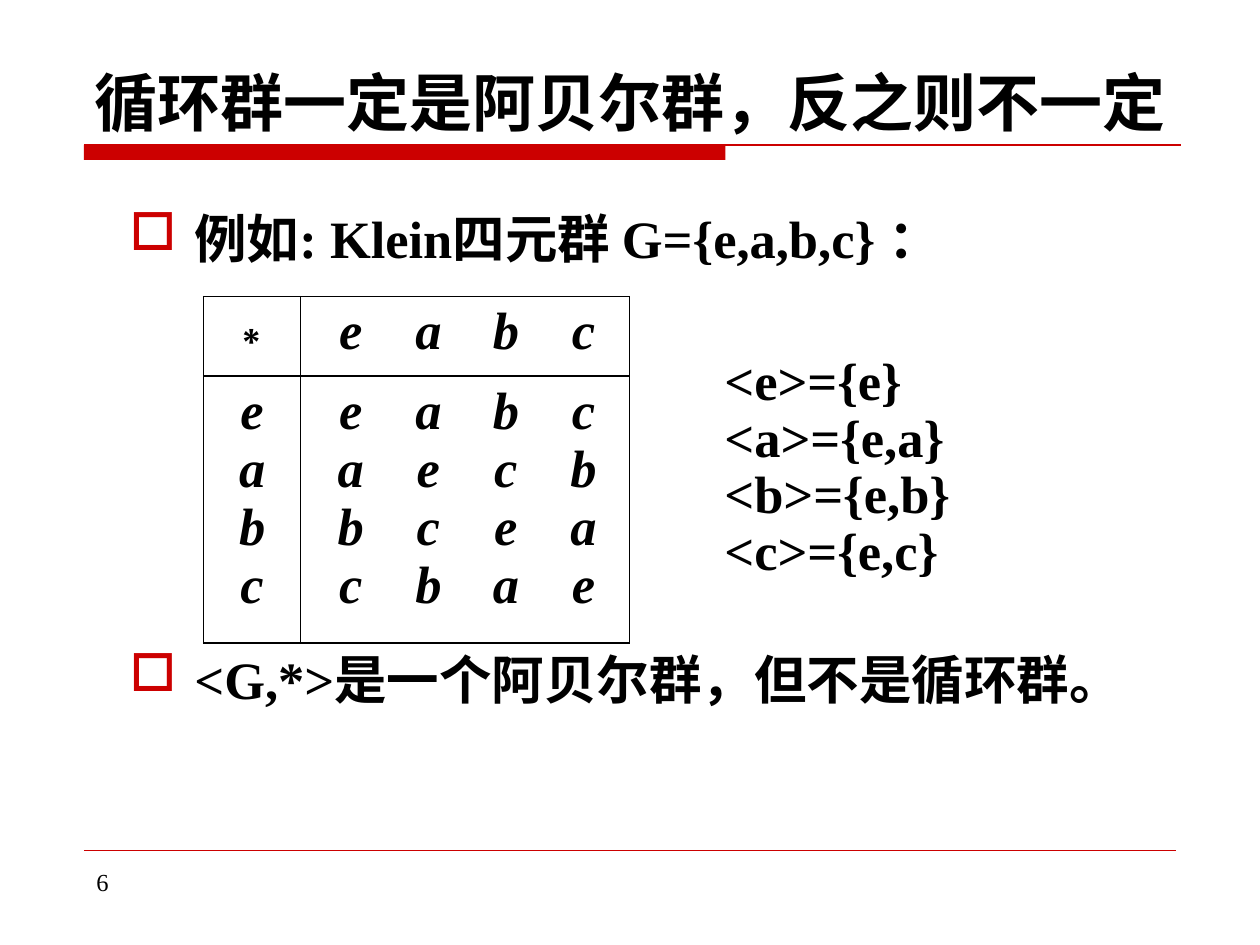
import pptx
import pptx.util
import pptx.dml.color
import pptx.enum.shapes
import pptx.enum.text
import pptx.oxml.ns
from lxml import etree

Pt = pptx.util.Pt
ALIGN = pptx.enum.text.PP_ALIGN
ANCHOR = pptx.enum.text.MSO_ANCHOR
qn = pptx.oxml.ns.qn

RED, BLACK = "CC0000", "000000"
FACE = "Times New Roman"
TITLE = "循环群一定是阿贝尔群，反之则不一定"
POINTS = ["例如: Klein四元群 G={e,a,b,c} ：", "<G,*>是一个阿贝尔群，但不是循环群。"]
GAPS = [0, 216]
ORBITS = ["<e>={e}", "<a>={e,a}", "<b>={e,b}", "<c>={e,c}"]
NAMES = "eabc"
PRODUCT = ["eabc", "aecb", "bcea", "cbae"]
PAGE = "6"
COLS, ROWS = [55.4, 188], [45.4, 152.6]
TAB, STEP = 21.5, 44.3


def color(code):
    return pptx.dml.color.RGBColor.from_string(code)


def write(para, text, size=30, bold=True, italic=False):
    run = para.add_run()
    run.text = text
    font = run.font
    font.name, font.size = FACE, Pt(size)
    font.bold, font.italic = bold, italic
    font.color.rgb = color(BLACK)


def paras(frame, count):
    return [frame.paragraphs[0]] + [frame.add_paragraph() for _ in range(count - 1)]


def box(slide, left, top, width, height):
    frame = slide.shapes.add_textbox(Pt(left), Pt(top), Pt(width), Pt(height)).text_frame
    frame.word_wrap = True
    return frame


def rule(slide, left, right, y, width):
    line = slide.shapes.add_connector(
        pptx.enum.shapes.MSO_CONNECTOR.STRAIGHT, Pt(left), Pt(y), Pt(right), Pt(y))
    line.line.color.rgb = color(RED)
    line.line.width = Pt(width)
    etree.SubElement(line._element.spPr, qn("a:effectLst"))


def bullet(para):
    props = para._p.get_or_add_pPr()
    props.set("marL", str(Pt(37)))
    props.set("indent", str(-Pt(37)))
    tint = etree.SubElement(props, qn("a:buClr"))
    etree.SubElement(tint, qn("a:srgbClr"), val=RED)
    etree.SubElement(props, qn("a:buFont"), typeface="Wingdings", pitchFamily="2", charset="2")
    etree.SubElement(props, qn("a:buChar"), char="o")


def tabs(para):
    stops = etree.SubElement(para._p.get_or_add_pPr(), qn("a:tabLst"))
    for i in range(len(NAMES)):
        etree.SubElement(stops, qn("a:tab"), pos=str(Pt(TAB + STEP * i)), algn="ctr")


def border(cell):
    props = cell._tc.get_or_add_tcPr()
    for i, side in enumerate(["lnL", "lnR", "lnT", "lnB"]):
        edge = etree.Element(qn("a:" + side), w=str(Pt(1)))
        fill = etree.SubElement(edge, qn("a:solidFill"))
        etree.SubElement(fill, qn("a:srgbClr"), val=BLACK)
        props.insert(i, edge)


def cayley(slide):
    table = slide.shapes.add_table(
        2, 2, Pt(116.4), Pt(169.5), Pt(sum(COLS)), Pt(sum(ROWS))).table
    table.first_row = table.horz_banding = False
    for i, width in enumerate(COLS):
        table.columns[i].width = Pt(width)
    for i, height in enumerate(ROWS):
        table.rows[i].height = Pt(height)
    parts = [[["∗"], [NAMES]], [list(NAMES), PRODUCT]]
    for r, row in enumerate(parts):
        for c, lines in enumerate(row):
            cell = table.cell(r, c)
            cell.fill.background()
            border(cell)
            for para, line in zip(paras(cell.text_frame, len(lines)), lines):
                if c:
                    tabs(para)
                    line = "".join("\t" + name for name in line)
                else:
                    para.alignment = ALIGN.CENTER
                write(para, line, italic=r + c > 0)


def main():
    deck = pptx.Presentation()
    deck.slide_width, deck.slide_height = Pt(720), Pt(540)
    slide = deck.slides.add_slide(deck.slide_layouts[6])

    bar = slide.shapes.add_shape(
        pptx.enum.shapes.MSO_SHAPE.RECTANGLE, Pt(48), Pt(82.8), Pt(366.5), Pt(8.6))
    bar.shadow.inherit = False
    bar.fill.solid()
    bar.fill.fore_color.rgb = color(RED)
    bar.line.fill.background()
    rule(slide, 48, 674.6, 82.8, 0.75)
    rule(slide, 48, 672, 486, 0.25)

    body = box(slide, 67, 114.4, 608.4, 373)
    for para, text, gap in zip(paras(body, len(POINTS)), POINTS, GAPS):
        if gap:
            para.space_before = Pt(gap)
        bullet(para)
        write(para, text)

    write(box(slide, 48, 491.8, 156, 37.4).paragraphs[0], PAGE, 14, False)

    head = box(slide, 45, 23.8, 630, 59)
    head.vertical_anchor = ANCHOR.BOTTOM
    head.paragraphs[0].alignment = ALIGN.CENTER
    write(head.paragraphs[0], TITLE, 36)

    cayley(slide)

    side = box(slide, 370.8, 199.4, 204.5, 138.2)
    side.margin_left = Pt(43.2)
    for para, text in zip(paras(side, len(ORBITS)), ORBITS):
        para.line_spacing = 0.9
        write(para, text)

    deck.save("out.pptx")


if __name__ == "__main__":
    main()
